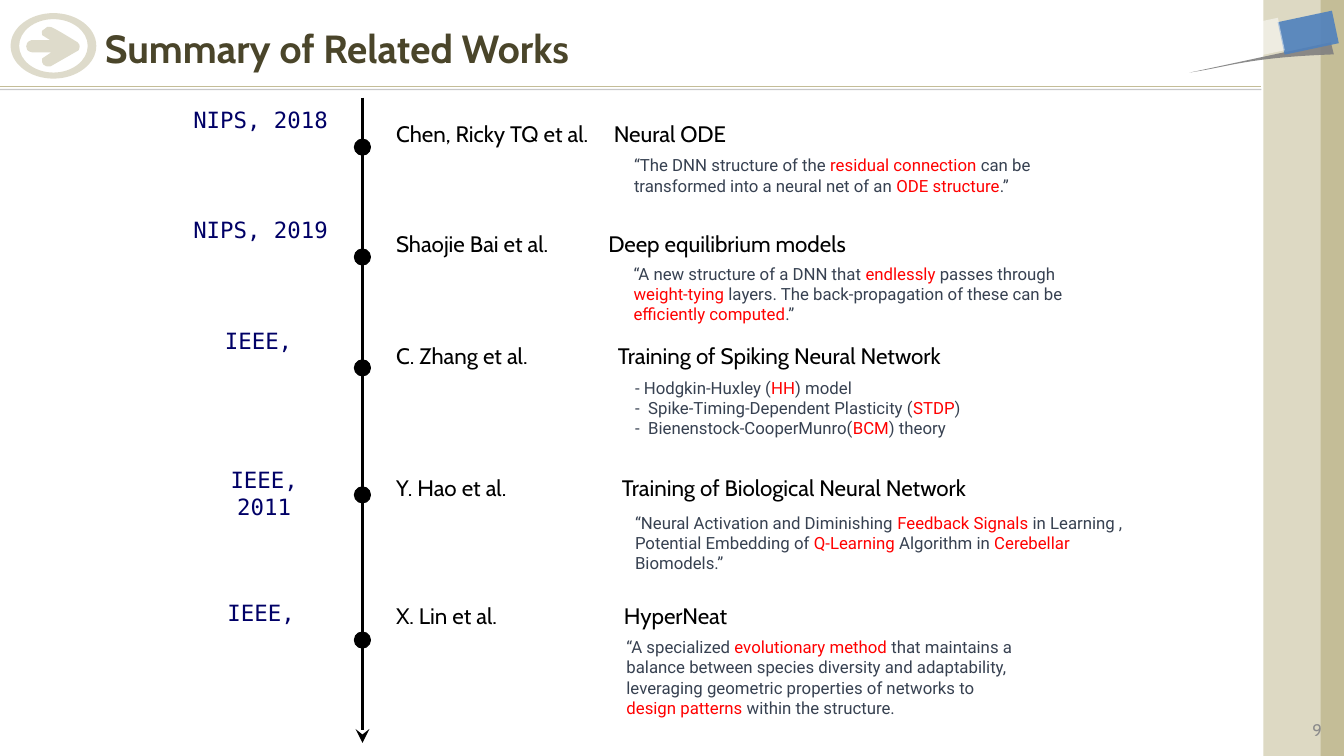
from dataclasses import dataclass

from lxml import etree
from pptx import Presentation
from pptx.dml.color import RGBColor
from pptx.enum.shapes import MSO_CONNECTOR, MSO_SHAPE
from pptx.enum.text import MSO_ANCHOR, PP_ALIGN
from pptx.oxml.ns import qn
from pptx.util import Emu, Inches, Pt

RECTANGLE, OVAL = MSO_SHAPE.RECTANGLE, MSO_SHAPE.OVAL
STRAIGHT = MSO_CONNECTOR.STRAIGHT
MIDDLE, TOP = MSO_ANCHOR.MIDDLE, MSO_ANCHOR.TOP
LEFT, CENTER, RIGHT, JUSTIFY = PP_ALIGN.LEFT, PP_ALIGN.CENTER, PP_ALIGN.RIGHT, PP_ALIGN.JUSTIFY

BLACK, WHITE = RGBColor(0, 0, 0), RGBColor(255, 255, 255)
TAN, SAND = RGBColor(0xC4, 0xBD, 0x97), RGBColor(0xDD, 0xD9, 0xC3)
OLIVE, DARK_OLIVE = RGBColor(0x94, 0x8A, 0x54), RGBColor(0x4A, 0x45, 0x2A)
BLUE, NAVY = RGBColor(0x4F, 0x81, 0xBD), RGBColor(0, 0, 0x66)
GRAY, PAGE_GRAY = RGBColor(0x80, 0x80, 0x80), RGBColor(0x8C, 0x8C, 0x8C)
SLATE, RED = RGBColor(0x37, 0x41, 0x51), RGBColor(255, 0, 0)

COLUMNS, ROWS = 133.3, 75  # grid of square cells, a tenth of an inch each
CELL = Inches(0.1)
AXIS, DOT_SIZE = 35.95, 1.6
VENUE_WIDTH, AUTHOR_LEFT, INSET = 18, 38.3, 1
DASH_GAP = 1.3

Point = tuple[float, float]
Segment = list[Point]  # one point for a straight side, three for a cubic curve


@dataclass
class Work:
    venue: str
    venue_center: float
    venue_top: float
    dot_top: float
    author: str
    topic: str
    topic_left: float
    author_top: float
    details: list[str]  # red spans stand between asterisks
    details_box: tuple[float, float, float, float]


@dataclass
class Contour:
    start: Point
    segments: list[Segment]


WORKS = [
    Work("NIPS, 2018", 25.85, 10, 13.8, "Chen, Ricky TQ et al.", "Neural ODE", 60.9, 11.4,
         ["“The DNN structure of the *residual connection* can be transformed into "
          "a neural net of an *ODE structure*.”"], (61.9, 14.9, 45.7, 5)),
    Work("NIPS, 2019", 25.85, 21, 24.7, "Shaojie Bai et al.", "Deep equilibrium models", 60.35, 22.3,
         ["“A new structure of a DNN that *endlessly* passes through *weight-tying* layers. "
          "The back-propagation of these can be *efficiently computed*.”"],
         (61.85, 25.65, 49.5, 7.1)),
    Work("IEEE,", 25.65, 32, 35.7, "C. Zhang et al.", "Training of Spiking Neural Network", 61.3, 33.45,
         ["- Hodgkin-Huxley (*HH*) model", "-\tSpike-Timing-Dependent Plasticity (*STDP*)",
          "-\tBienenstock-CooperMunro(*BCM*) theory"], (62, 36.95, 49.5, 7.1)),
    Work("IEEE,\n2011", 26.2, 45.75, 48.3, "Y. Hao et al.", "Training of Biological Neural Network",
         61.7, 46.55,
         ["“Neural Activation and Diminishing *Feedback Signals* in Learning , Potential "
          "Embedding of *Q-Learning* Algorithm in *Cerebellar* Biomodels.”"],
         (62, 50.35, 51, 7.1)),
    Work("IEEE,", 25.9, 58.9, 62.7, "X. Lin et al.", "HyperNeat", 61.9, 59.2,
         ["“A specialized *evolutionary method* that maintains a balance between species "
          "diversity and adaptability, leveraging geometric properties of networks to "
          "*design patterns* within the structure."], (61.15, 62.7, 41.3, 9.1)),
]

ARROW = Contour((7.7, 4.2), [
    [(7.2, 3.9), (5.6, 2.9), (5.1, 2.7)], [(4.7, 2.6), (4.6, 2.7), (4.4, 2.9)],
    [(4.1, 3), (4.1, 3.3), (4.2, 3.5)], [(5, 4)], [(3.1, 4)],
    [(2.7, 4.1), (2.6, 4.4), (2.6, 4.6)], [(2.6, 4.9), (2.7, 5.1), (3.2, 5.2)],
    [(5.1, 5.2)], [(4.2, 5.8)],
    [(4.1, 6), (4.2, 6.3), (4.3, 6.4)], [(4.4, 6.6), (4.7, 6.6), (5, 6.6)],
    [(6.4, 5.8), (7.8, 5), (7.8, 5)], [(7.9, 4.8), (7.9, 4.7), (7.9, 4.6)],
    [(7.9, 4.5), (7.9, 4.4), (7.7, 4.2)]])
SWOOSH = Contour((132, 4.2), [
    [(132.3, 5.4)], [(123.8, 5.7), (122, 6.6), (118, 7.2)],
    [(122.7, 6.2), (127.3, 5.2), (132, 4.2)]])


def grid(cells: float) -> Emu:
    return Emu(round(cells * CELL))


def paint(shape, color: RGBColor, opacity: int = 100) -> None:
    shape.shadow.inherit = False
    shape.fill.solid()
    shape.fill.fore_color.rgb = color
    shape.line.fill.background()
    if opacity < 100:
        color_node = shape.fill._xPr.find(qn("a:solidFill"))[0]
        etree.SubElement(color_node, qn("a:alpha"), val=str(opacity * 1000))


def add_block(page, kind, left: float, top: float, width: float, height: float,
              color: RGBColor, opacity: int = 100, turn: float = 0):
    block = page.shapes.add_shape(kind, grid(left), grid(top), grid(width), grid(height))
    block.rotation = turn
    paint(block, color, opacity)
    return block


def oval(center: Point, half_width: float, half_height: float) -> Contour:
    """Four quarter curves, clockwise from the top."""
    bend = 0.55
    corners = [(0, -1), (1, 0), (0, 1), (-1, 0), (0, -1)]

    def place(x: float, y: float) -> Point:
        return center[0] + x * half_width, center[1] + y * half_height

    quarters = [[place(a + bend * c, b + bend * d), place(c + bend * a, d + bend * b), place(c, d)]
                for (a, b), (c, d) in zip(corners, corners[1:])]
    return Contour(place(0, -1), quarters)


def add_outline(page, contours: list[Contour], color: RGBColor, opacity: int) -> None:
    builder = None
    for contour in contours:
        start = [grid(value) for value in contour.start]
        if builder is None:
            builder = page.shapes.build_freeform(*start, scale=1.0)
        else:
            builder.move_to(*start)
        builder.add_line_segments([(grid(x), grid(y)) for segment in contour.segments
                                   for x, y in segment], close=True)
    shape = builder.convert_to_shape()
    paint(shape, color, opacity)

    # Join the points of each curve into one cubic segment
    sides = iter(list(shape._element.iter(qn("a:lnTo"))))
    for contour in contours:
        for segment in contour.segments:
            first, *others = [next(sides) for _ in segment]
            if others:
                curve = etree.Element(qn("a:cubicBezTo"))
                first.addprevious(curve)
                for side in (first, *others):
                    curve.append(side[0])
                    side.getparent().remove(side)


def add_line(page, start: Point, end: Point, color: RGBColor, width: float):
    line = page.shapes.add_connector(STRAIGHT, *map(grid, (*start, *end)))
    line.line.color.rgb = color
    line.line.width = Pt(width)
    effects = etree.SubElement(line._element.spPr, qn("a:effectLst"))
    return line, effects


def add_tab(para, cells: float) -> None:
    tabs = etree.SubElement(para._p.get_or_add_pPr(), qn("a:tabLst"))
    etree.SubElement(tabs, qn("a:tab"), pos=str(grid(cells)), algn="l")


def style(para, font: str, size: float, color: RGBColor, align=LEFT, bold: bool = False) -> None:
    para.alignment = align
    for span in para.runs:
        span.font.name, span.font.size, span.font.bold = font, Pt(size), bold
        span.font.color.rgb = color


def add_text(page, text: str, left: float, top: float, width: float, height: float,
             font: str, size: float, color: RGBColor, align=LEFT, anchor=TOP):
    box = page.shapes.add_textbox(grid(left), grid(top), grid(width), grid(height))
    frame = box.text_frame
    frame.word_wrap, frame.vertical_anchor = True, anchor
    frame.text = text
    for para in frame.paragraphs:
        style(para, font, size, color, align)
    return frame


def add_work(page, work: Work) -> None:
    dot = add_block(page, OVAL, AXIS - DOT_SIZE / 2, work.dot_top, DOT_SIZE, DOT_SIZE, BLACK)
    dot.line.color.rgb = BLACK
    add_text(page, work.venue, work.venue_center - VENUE_WIDTH / 2, work.venue_top,
             VENUE_WIDTH, 3.7, "DejaVu Sans Mono", 16, NAVY, CENTER)
    frame = add_text(page, f"{work.author}\t{work.topic}", AUTHOR_LEFT, work.author_top,
                     70.7, 3.7, "Cabin", 16, BLACK)
    add_tab(frame.paragraphs[0], work.topic_left - AUTHOR_LEFT - INSET)

    # Details with red key terms
    frame = add_text(page, "\n".join(work.details), *work.details_box, "Roboto", 12, SLATE)
    for para, detail in zip(frame.paragraphs, work.details):
        para.clear()
        if "\t" in detail:
            add_tab(para, DASH_GAP)
        for words in detail.split("*"):
            para.add_run().text = words
        style(para, "Roboto", 12, SLATE)
        for span in para.runs[1::2]:
            span.font.color.rgb = RED


def add_decoration(page) -> None:
    # Header rule with its shadow
    _, effects = add_line(page, (0, 8.6), (125.1, 8.6), TAN, 0.75)
    shadow = etree.SubElement(effects, qn("a:outerShdw"), dist=str(Pt(2)), dir="5400000")
    shade = etree.SubElement(shadow, qn("a:srgbClr"), val=str(BLACK))
    etree.SubElement(shade, qn("a:alpha"), val="22000")

    # Arrow in a ring
    center = (5.3, 4.55)
    add_outline(page, [ARROW], OLIVE, 30)
    add_outline(page, [oval(center, 4.25, 3.25), oval(center, 3.4, 2.65)], OLIVE, 30)

    # Side bands and tilted cards
    add_block(page, RECTANGLE, 125.5, 0, COLUMNS - 125.5, ROWS, TAN)
    add_block(page, RECTANGLE, 125.3, 0, 5.7, ROWS, SAND)
    add_outline(page, [SWOOSH], GRAY, 90)
    add_block(page, RECTANGLE, 128.1, 0.5, 3.3, 5.5, BLUE, 90, 78)
    add_block(page, RECTANGLE, 120.4, -0.7, 3.3, 10.3, WHITE, 50, 78)


def main() -> None:
    deck = Presentation()
    deck.slide_width, deck.slide_height = grid(COLUMNS), grid(ROWS)
    page = deck.slides.add_slide(deck.slide_layouts[5])
    add_decoration(page)

    # Title and page number
    title = page.shapes.title
    title.left, title.top, title.width, title.height = map(grid, (9.4, 1.7, 117.3, 6.1))
    title.text_frame.text = "Summary of Related Works"
    title.text_frame.vertical_anchor = MIDDLE
    style(title.text_frame.paragraphs[0], "Cabin", 28, DARK_OLIVE, JUSTIFY, True)
    add_text(page, "9", 101, 70.8, 31.1, 3.3, "Cabin", 12, PAGE_GRAY, RIGHT, MIDDLE)

    # Timeline
    axis, _ = add_line(page, (AXIS, 9.7), (AXIS, 73.7), BLACK, 1.5)
    etree.SubElement(axis.line._get_or_add_ln(), qn("a:tailEnd"), type="stealth", w="lg", len="lg")
    for work in WORKS:
        add_work(page, work)
    deck.save("out.pptx")


if __name__ == "__main__":
    main()
